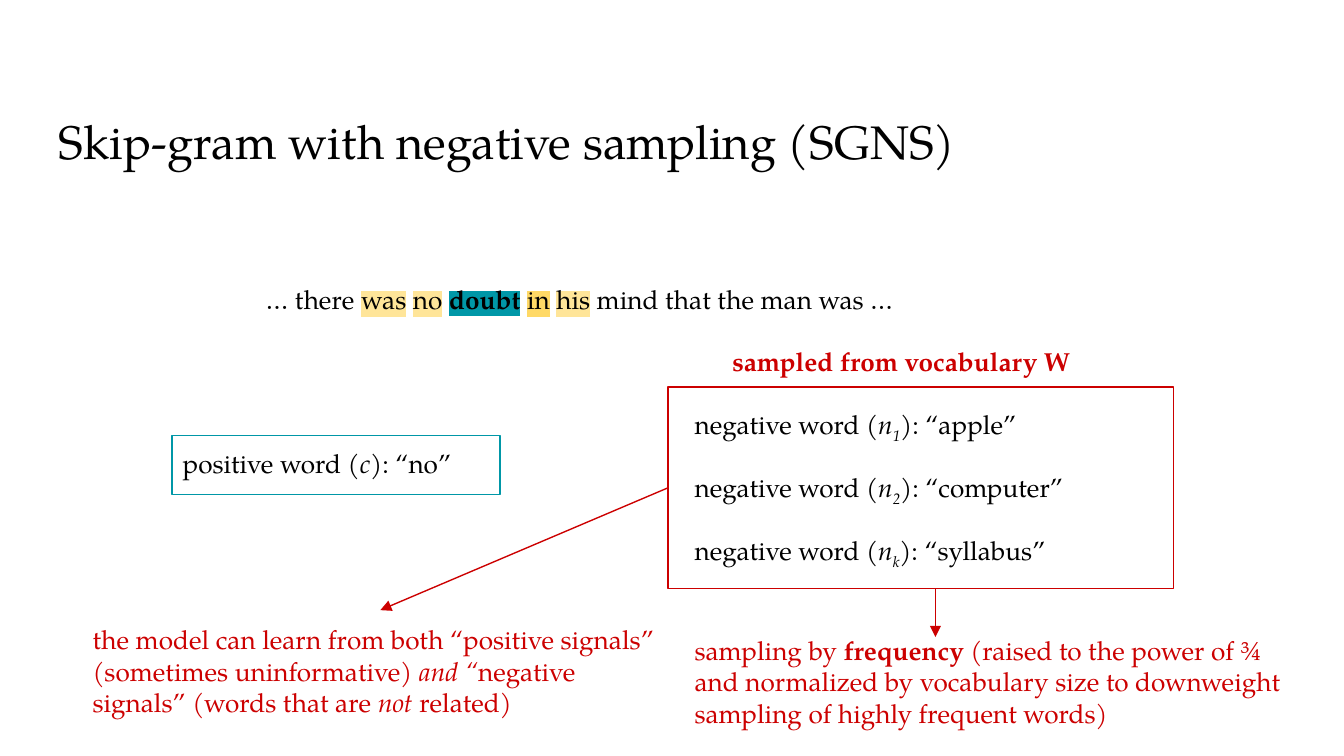
from lxml import etree
from pptx import Presentation
from pptx.dml.color import RGBColor
from pptx.enum.shapes import MSO_CONNECTOR, MSO_SHAPE
from pptx.oxml.ns import qn
from pptx.util import Inches, Pt

RECTANGLE = MSO_SHAPE.RECTANGLE
STRAIGHT = MSO_CONNECTOR.STRAIGHT
LEFT_SIDE = 1

FONT = "TeX Gyre Pagella"
BLACK = RGBColor(0x00, 0x00, 0x00)
RED = RGBColor(0xCC, 0x00, 0x00)
TEAL = RGBColor(0x00, 0x97, 0xA7)
PALE_YELLOW = RGBColor(0xFF, 0xE5, 0x99)
YELLOW = RGBColor(0xFF, 0xD9, 0x66)
WHITE = RGBColor(0xFF, 0xFF, 0xFF)

BOLD = {"bold": True}
ITALIC = {"italic": True}
CONTEXT = {"highlight": PALE_YELLOW}


def add_run(paragraph, text, size=14, color=BLACK, bold=False, italic=False,
            highlight=None, baseline=None):
    run = paragraph.add_run()
    run.text = text
    font = run.font
    font.name, font.size = FONT, Pt(size)
    font.bold, font.italic = bold, italic
    font.color.rgb = color
    properties = font._element
    if baseline is not None:
        properties.set("baseline", str(baseline * 1000))
    if highlight is not None:
        marker = etree.Element(qn("a:highlight"))
        etree.SubElement(marker, qn("a:srgbClr"), val=str(highlight))
        properties.find(qn("a:latin")).addprevious(marker)


def add_text(slide, left, top, width, height, parts, **style):
    box = slide.shapes.add_textbox(
        Inches(left), Inches(top), Inches(width), Inches(height))
    frame = box.text_frame
    frame.word_wrap = True
    frame.margin_left = frame.margin_right = Inches(0.1)
    frame.margin_top = frame.margin_bottom = Inches(0.1)
    for text, emphasis in parts:
        add_run(frame.paragraphs[0], text, **{**style, **emphasis})


def add_frame(slide, left, top, width, height, color):
    frame = slide.shapes.add_shape(
        RECTANGLE, Inches(left), Inches(top), Inches(width), Inches(height))
    frame.shadow.inherit = False
    frame.fill.background()
    frame.line.color.rgb = color
    frame.line.width = Pt(0.75)
    return frame


def add_arrow(slide, start_x, start_y, end_x, end_y):
    arrow = slide.shapes.add_connector(
        STRAIGHT, Inches(start_x), Inches(start_y), Inches(end_x), Inches(end_y))
    arrow.line.color.rgb = RED
    arrow.line.width = Pt(0.75)
    etree.SubElement(arrow.line._get_or_add_ln(), qn("a:tailEnd"), type="triangle")
    etree.SubElement(arrow._element.spPr, qn("a:effectLst"))
    return arrow


def add_negative_words(slide):
    samples = [("1", "apple"), ("2", "computer"), ("k", "syllabus")]
    for row, (index, word) in enumerate(samples):
        add_text(slide, 5.07, 2.94 + 0.47 * row, 3.56, 0.44, [
            ("negative word (", {}),
            ("n", ITALIC),
            (index, {"italic": True, "baseline": -25}),
            (f"): “{word}”", {}),
        ])


def main():
    presentation = Presentation()
    presentation.slide_width = Inches(10)
    presentation.slide_height = Inches(10 * 9 / 16)
    slide = presentation.slides.add_slide(presentation.slide_layouts[6])

    negative_frame = add_frame(slide, 4.97, 2.88, 3.76, 1.5, RED)
    add_frame(slide, 1.28, 3.24, 2.44, 0.44, TEAL)

    add_text(slide, 0.34, 0.74, 9.32, 0.63,
             [("Skip-gram with negative sampling (SGNS)", {})], size=25.2)
    add_text(slide, 1.88, 2.01, 5.23, 0.44, [
        ("… there ", {}),
        ("was", CONTEXT),
        (" ", {}),
        ("no", CONTEXT),
        (" ", {}),
        ("doubt", {"bold": True, "highlight": TEAL}),
        (" ", {"bold": True, "highlight": WHITE}),
        ("in", {"highlight": YELLOW}),
        (" ", {}),
        ("his", CONTEXT),
        (" mind that the man was …", {}),
    ])
    add_text(slide, 1.26, 3.23, 2.81, 0.44,
             [("positive word (", {}), ("c", ITALIC), ("): “no”", {})])
    add_negative_words(slide)
    add_text(slide, 5.35, 2.47, 2.81, 0.44,
             [("sampled from vocabulary W", BOLD)], color=RED)

    add_text(slide, 0.59, 4.54, 4.49, 0.91, [
        ("the model can learn from both “positive signals” (sometimes uninformative) ", {}),
        ("and “", ITALIC),
        ("negative signals” (words that are ", {}),
        ("not ", ITALIC),
        ("related)", {}),
    ], color=RED)
    signals_arrow = add_arrow(slide, 4.97, 3.63, 2.83, 4.54)
    signals_arrow.begin_connect(negative_frame, LEFT_SIDE)

    add_text(slide, 5.07, 4.62, 4.77, 0.91, [
        ("sampling by ", {}),
        ("frequency", BOLD),
        (" (raised to the power of ¾ and normalized by vocabulary size to "
         "downweight sampling of highly frequent words)", {}),
    ], color=RED)
    add_arrow(slide, 6.96, 4.38, 6.96, 4.74)

    presentation.save("out.pptx")


if __name__ == "__main__":
    main()
